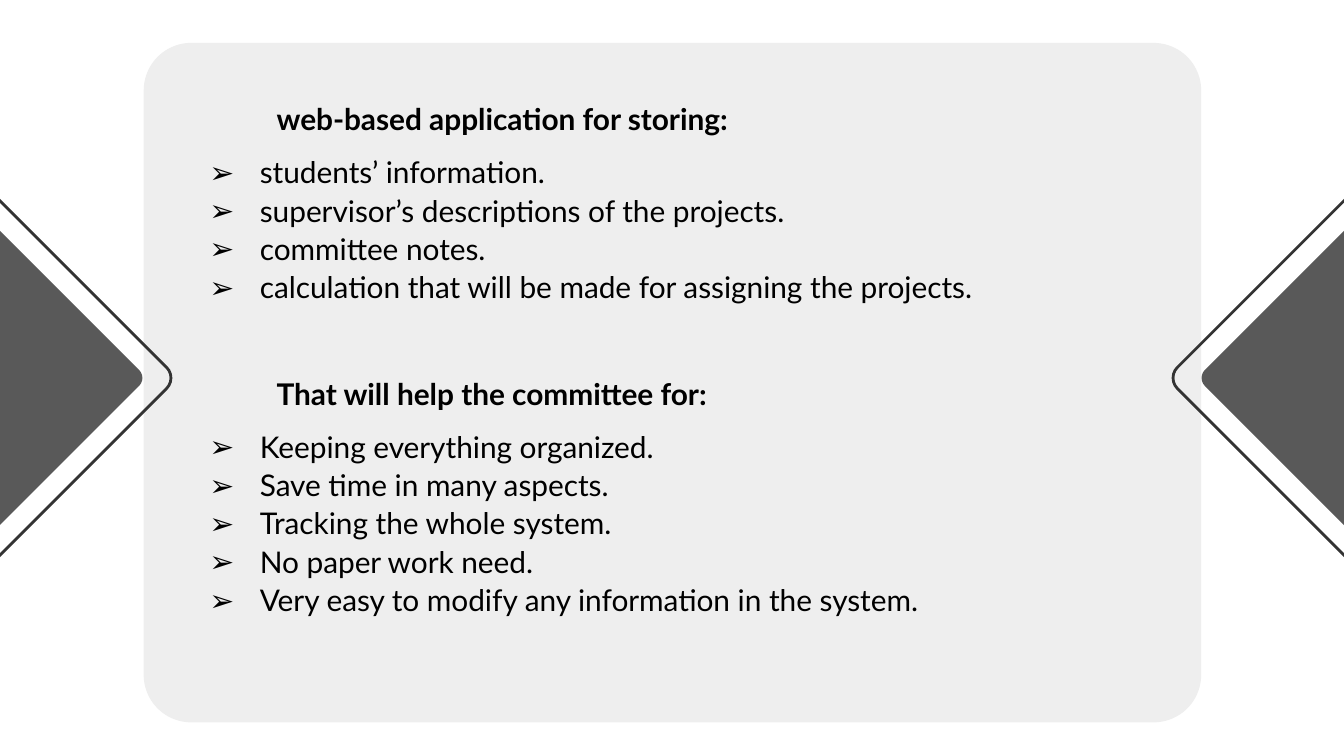
from dataclasses import dataclass
from math import cos, radians, sin

from lxml import etree
from pptx import Presentation
from pptx.dml.color import RGBColor
from pptx.enum import shapes, text
from pptx.oxml import ns
from pptx.util import Pt


@dataclass(frozen=True)
class Theme:
    """Colours, font and type size of the slide."""
    panel: RGBColor = RGBColor(0xEE, 0xEE, 0xEE)
    wedge: RGBColor = RGBColor(0x59, 0x59, 0x59)
    outline: RGBColor = RGBColor(0x33, 0x33, 0x33)
    ink: RGBColor = RGBColor(0, 0, 0)
    font: str = "Lato"
    size: float = 16


THEME = Theme()
WIDTH, HEIGHT = 720, 405
SECTIONS = [
    ("web-based application for storing:", [
        "students’ information.",
        "supervisor’s descriptions of the projects.",
        "committee notes.",
        "calculation that will be made for assigning the projects.",
    ]),
    ("That will help the committee for:", [
        "Keeping everything organized.",
        "Save time in many aspects.",
        "Tracking the whole system.",
        "No paper work need.",
        "Very easy to modify any information in the system.",
    ]),
]


def add_panel(page, left, top, width, height):
    """Draw the rounded panel behind the text."""
    panel = page.shapes.add_shape(
        shapes.MSO_SHAPE.ROUNDED_RECTANGLE, Pt(left), Pt(top), Pt(width), Pt(height))
    panel.adjustments[0] = 0.07
    panel.shadow.inherit = False
    panel.fill.solid()
    panel.fill.fore_color.rgb = THEME.panel
    panel.line.fill.background()


def add_wedge(page, edge, direction, base, tip, radius):
    """Draw a right-angled wedge with round corners, pointing inward from a slide edge."""
    reach = tip - radius - base
    corners = [(base, reach, (90, 75, 60, 45)),
               (tip - radius, 0, range(45, -46, -15)),
               (base, -reach, (-45, -60, -75, -90))]
    points = [(Pt(edge + direction * (x + radius * cos(radians(angle)))),
               Pt(HEIGHT / 2 + y + radius * sin(radians(angle))))
              for x, y, angles in corners for angle in angles]
    builder = page.shapes.build_freeform(*points[0])
    builder.add_line_segments(points[1:], close=True)
    wedge = builder.convert_to_shape()
    wedge.shadow.inherit = False
    return wedge


def add_side(page, edge, direction):
    """Place an outlined and a filled wedge at one slide edge."""
    frame = add_wedge(page, edge, direction, base=-9.4, tip=91.6, radius=8)
    frame.fill.background()
    frame.line.color.rgb = THEME.outline
    frame.line.width = Pt(1.5)
    core = add_wedge(page, edge, direction, base=-4.4, tip=76.3, radius=6)
    core.fill.solid()
    core.fill.fore_color.rgb = THEME.wedge
    core.line.fill.background()


def add_para(para, wording, heading=False, before=0, after=0):
    """Write one heading or bulleted line."""
    para.level = 1 if heading else 0
    para.alignment = text.PP_ALIGN.LEFT
    para.line_spacing = 1.07
    para.space_before, para.space_after = Pt(before), Pt(after)
    props = para._p.get_or_add_pPr()
    props.set("marL", str(Pt(36 if heading else 27)))
    props.set("indent", str(Pt(0 if heading else -27)))
    if heading:
        etree.SubElement(props, ns.qn("a:buNone"))
    else:
        colour = etree.SubElement(props, ns.qn("a:buClr"))
        etree.SubElement(colour, ns.qn("a:srgbClr"), val=str(THEME.ink))
        etree.SubElement(props, ns.qn("a:buFont"), typeface=THEME.font)
        etree.SubElement(props, ns.qn("a:buChar"), char="➢")
    span = para.add_run()
    span.text = wording
    span.font.name, span.font.size = THEME.font, Pt(THEME.size)
    span.font.bold = heading
    span.font.color.rgb = THEME.ink


def fill_body(box, left, top, width, height):
    """Move the body placeholder to the front and write the sections into it."""
    box.element.getparent().append(box.element)
    box.left, box.top, box.width, box.height = Pt(left), Pt(top), Pt(width), Pt(height)
    frame = box.text_frame
    frame.word_wrap = True
    frame.auto_size = text.MSO_AUTO_SIZE.NONE
    frame.vertical_anchor = text.MSO_ANCHOR.TOP
    for number, (heading, items) in enumerate(SECTIONS):
        para = frame.add_paragraph() if number else frame.paragraphs[0]
        add_para(para, heading, heading=True, before=28.5 if number else 0, after=8)
        for item in items:
            add_para(frame.add_paragraph(), item, after=8 if item == items[-1] else 0)


def main():
    """Build and save the deck."""
    deck = Presentation()
    deck.slide_width, deck.slide_height = Pt(WIDTH), Pt(HEIGHT)
    page = deck.slides.add_slide(deck.slide_layouts[1])
    title = page.shapes.title.element
    title.getparent().remove(title)
    add_panel(page, 77, 23, 566.5, 364)
    add_side(page, edge=0, direction=1)
    add_side(page, edge=WIDTH, direction=-1)
    fill_body(page.placeholders[1], 105, 49, 523.5, 287.5)
    deck.save("out.pptx")


if __name__ == "__main__":
    main()
